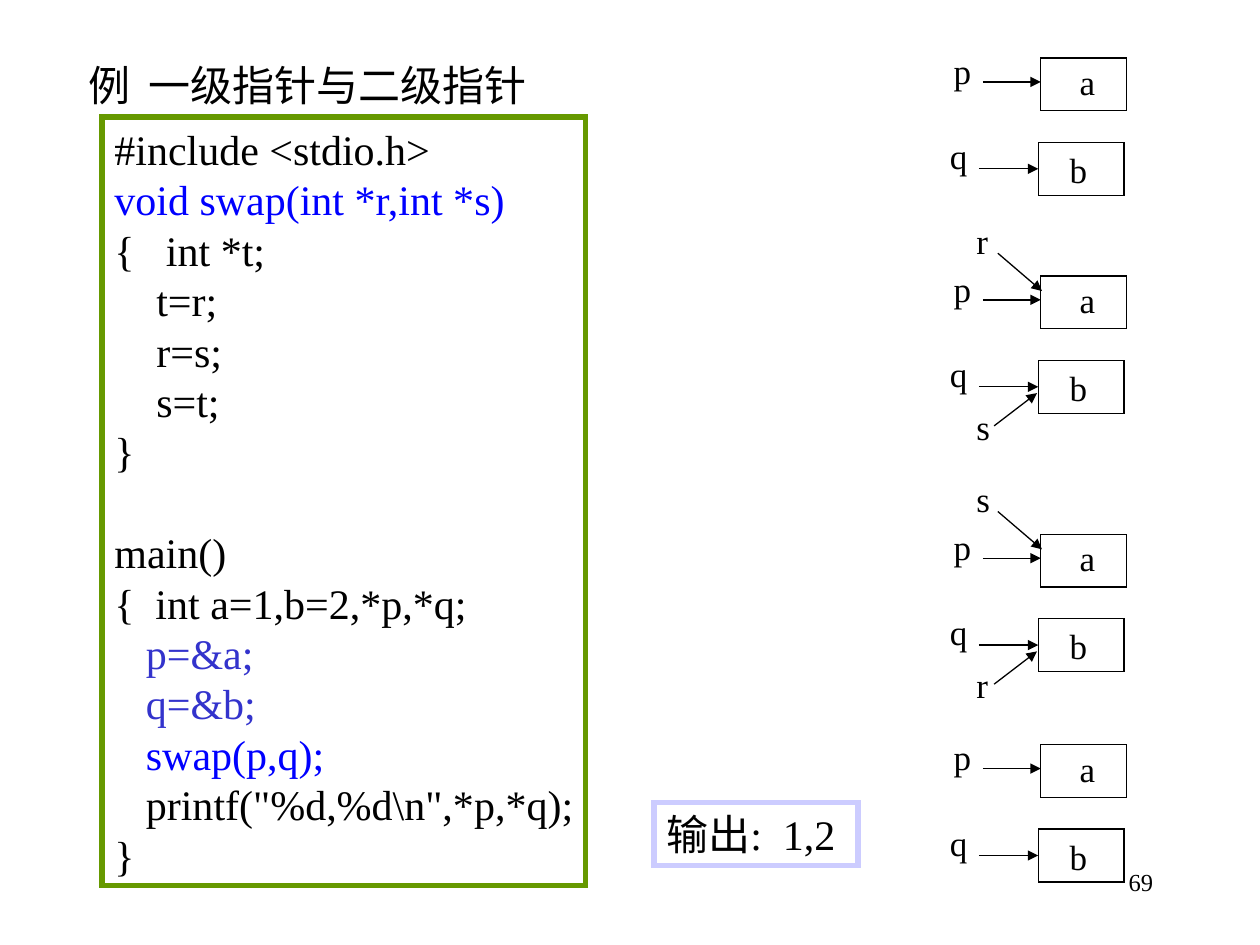
from lxml import etree
from pptx import Presentation
from pptx.dml.color import RGBColor
from pptx.enum.shapes import MSO_CONNECTOR, MSO_SHAPE
from pptx.enum.text import MSO_ANCHOR, MSO_AUTO_SIZE, PP_ALIGN
from pptx.oxml.ns import qn
from pptx.util import Inches, Pt

RECTANGLE, STRAIGHT = MSO_SHAPE.RECTANGLE, MSO_CONNECTOR.STRAIGHT
TOP, MIDDLE = MSO_ANCHOR.TOP, MSO_ANCHOR.MIDDLE
LEFT, RIGHT = PP_ALIGN.LEFT, PP_ALIGN.RIGHT
FIXED, GROW = MSO_AUTO_SIZE.NONE, MSO_AUTO_SIZE.SHAPE_TO_FIT_TEXT

THEME = {
    "font": "Times New Roman",
    "size": {"main": 24, "label": 20, "page": 14},
    "color": {
        "text": "000000", "call": "0000FF", "assign": "3333CC",
        "paper": "FFFFFF", "code_frame": "669900", "output_frame": "CCCCFF",
    },
    "line": {"thin": 0.75, "frame": 3},
}

TITLE = "例  一级指针与二级指针"
OUTPUT = "输出:  1,2"
PAGE = "69"
CODE = [
    ("#include <stdio.h>", "text"),
    ("void swap(int *r,int *s)", "call"),
    ("{   int *t;", "text"),
    ("    t=r;", "text"),
    ("    r=s;", "text"),
    ("    s=t;", "text"),
    ("}", "text"),
    ("", "text"),
    ("main()", "text"),
    ("{  int a=1,b=2,*p,*q;", "text"),
    ("   p=&a;", "assign"),
    ("   q=&b;", "assign"),
    ("   swap(p,q);", "call"),
    ('   printf("%d,%d\\n",*p,*q);', "text"),
    ("}", "text"),
]
# Top of the box for a, then the extra pointers to a and to b
STAGES = [(0.46, None, None), (2.19, "r", "s"), (4.24, "s", "r"), (5.91, None, None)]

# Places within a stage, measured down from the top of the box for a
CELL_SIZE = (0.68, 0.42)
CELLS = [(8.26, 0), (8.24, 0.67)]
LABELS = [("a", 8.47, -0.03), ("b", 8.39, 0.67), ("p", 7.47, -0.12), ("q", 7.44, 0.56)]
ARROWS = [(7.8, 0.19, 8.26, 0.19), (7.77, 0.88, 8.24, 0.88)]
EXTRA_LABELS = [(7.65, -0.5), (7.65, 0.98)]
EXTRA_ARROWS = [(7.92, -0.18, 8.27, 0.12), (7.89, 1.19, 8.23, 0.93)]
LABEL_WIDTHS = {"a": 0.32, "r": 0.29, "s": 0.31}
LABEL_WIDTH, LABEL_HEIGHT = 0.34, 0.44


def color(name):
    return RGBColor.from_string(THEME["color"][name])


def write(shape, lines, size, align=LEFT, anchor=TOP, wrap=False, fit=GROW):
    """Fill a shape with (text, colour name) lines."""
    frame = shape.text_frame
    frame.word_wrap = wrap
    frame.auto_size = fit
    frame.vertical_anchor = anchor
    for i, (text, color_name) in enumerate(lines):
        paragraph = frame.add_paragraph() if i else frame.paragraphs[0]
        paragraph.text = text
        paragraph.alignment = align
        paragraph.font.name = THEME["font"]
        paragraph.font.size = Pt(THEME["size"][size])
        paragraph.font.color.rgb = color(color_name)


def add_frame(shapes, box, line_color, weight, fill=None):
    """Add a rectangle with square outline corners."""
    frame = shapes.add_shape(RECTANGLE, *map(Inches, box))
    frame.shadow.inherit = False
    if fill:
        frame.fill.solid()
        frame.fill.fore_color.rgb = color(fill)
    else:
        frame.fill.background()
    frame.line.color.rgb = color(line_color)
    frame.line.width = Pt(THEME["line"][weight])
    etree.SubElement(frame.line._get_or_add_ln(), qn("a:miter"), lim="800000")
    return frame


def add_label(shapes, text, left, top):
    width = LABEL_WIDTHS.get(text, LABEL_WIDTH)
    label = shapes.add_textbox(*map(Inches, (left, top, width, LABEL_HEIGHT)))
    write(label, [(text, "text")], "label")


def add_arrow(shapes, x1, y1, x2, y2):
    arrow = shapes.add_connector(STRAIGHT, *map(Inches, (x1, y1, x2, y2)))
    arrow.line.color.rgb = color("text")
    arrow.line.width = Pt(THEME["line"]["thin"])
    etree.SubElement(arrow.line._get_or_add_ln(), qn("a:tailEnd"), type="triangle")
    etree.SubElement(arrow._element.spPr, qn("a:effectLst"))


def add_stage(slide, top, *extra_pointers):
    """Draw which variable each pointer refers to at one moment."""
    shapes = slide.shapes.add_group_shape().shapes
    labels, arrows = list(LABELS), list(ARROWS)
    for name, place, arrow in zip(extra_pointers, EXTRA_LABELS, EXTRA_ARROWS):
        if name:
            labels.append((name, *place))
            arrows.append(arrow)
    for left, dy in CELLS:
        add_frame(shapes, (left, top + dy, *CELL_SIZE), "text", "thin")
    for name, left, dy in labels:
        add_label(shapes, name, left, top + dy)
    for x1, dy1, x2, dy2 in arrows:
        add_arrow(shapes, x1, top + dy1, x2, top + dy2)


def main():
    deck = Presentation()
    deck.slide_width, deck.slide_height = Inches(10), Inches(7.5)
    slide = deck.slides.add_slide(deck.slide_layouts[5])

    title = slide.shapes.title
    title.left, title.top = Inches(0.6), Inches(0.42)
    title.width, title.height = Inches(4), Inches(0.5)
    write(title, [(TITLE, "text")], "main", wrap=True, fit=FIXED)

    code = add_frame(slide.shapes, (0.81, 0.93, 3.84, 6.1), "code_frame", "frame", "paper")
    write(code, CODE, "main", anchor=MIDDLE)

    for stage in STAGES:
        add_stage(slide, *stage)

    output = add_frame(slide.shapes, (5.19, 6.37, 1.62, 0.5), "output_frame", "frame")
    write(output, [(OUTPUT, "text")], "main")

    page = slide.shapes.add_textbox(*map(Inches, (7.17, 6.83, 2.08, 0.5)))
    write(page, [(PAGE, "text")], "page", align=RIGHT, wrap=True, fit=FIXED)

    deck.save("out.pptx")


if __name__ == "__main__":
    main()
